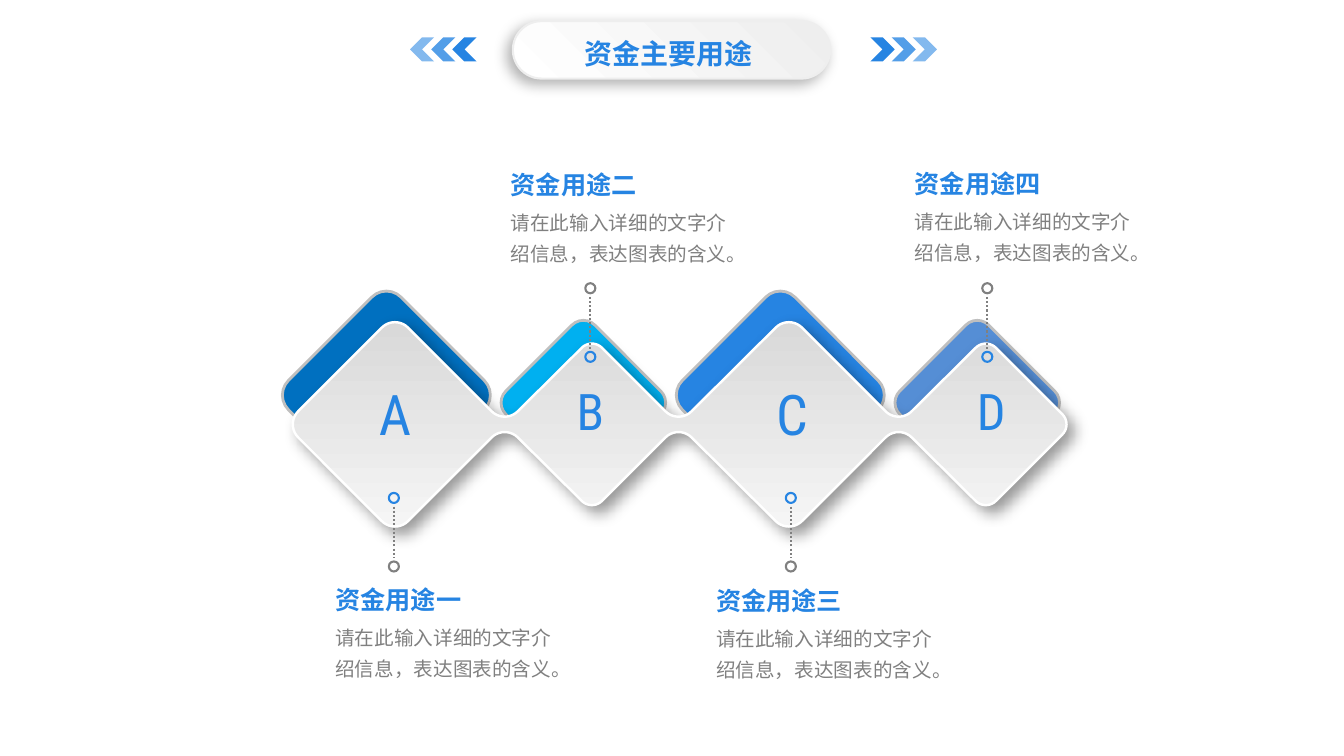
from collections import namedtuple

from lxml import etree
from pptx import Presentation
from pptx import util as u
from pptx.dml.color import RGBColor
from pptx.enum import dml, shapes, text
from pptx.oxml.ns import qn

BLUE = RGBColor(0x26, 0x84, 0xE2)
NAVY = RGBColor(0x00, 0x70, 0xC0)
SKY = RGBColor(0x00, 0xB0, 0xF0)
STEEL = RGBColor(0x55, 0x8E, 0xD5)
GRAY = RGBColor(0x80, 0x80, 0x80)
EDGE = RGBColor(0xBF, 0xBF, 0xBF)
SILVER = RGBColor(0xD9, 0xD9, 0xD9)
PALE = RGBColor(0xF5, 0xF5, 0xF5)
MIST = RGBColor(0xEE, 0xEE, 0xEE)
WHITE = RGBColor(0xFF, 0xFF, 0xFF)

LATIN, CHINESE = "Roboto Condensed", "Noto Sans CJK SC"
BODY = "请在此输入详细的文字介绍信息，表达图表的含义。"

# The grid has ten square cells to the inch
COLUMNS, ROWS = 133.4, 75
FIRST_CENTER, PITCH, MIDDLE = 39.2, 19.55, 42.1

Use = namedtuple("Use", "letter title color big pin letter_x text_x text_y")
USES = [
    Use("A", "资金用途一", NAVY, True, 39.1, 39.2, 32.3, 57.5),
    Use("B", "资金用途二", SKY, False, 58.6, 58.6, 49.7, 16.3),
    Use("C", "资金用途三", BLUE, True, 78.5, 78.6, 70.1, 57.6),
    Use("D", "资金用途四", STEEL, False, 98, 98.4, 89.8, 16.2),
]


def grid(cells):
    return u.Inches(cells / 10)


def add_shape(slide, kind, left, top, width, height, fill=None, line=None, weight=1.5):
    shape = slide.shapes.add_shape(kind, grid(left), grid(top), grid(width), grid(height))
    shape.shadow.inherit = False
    if fill is None:
        shape.fill.background()
    else:
        shape.fill.solid()
        shape.fill.fore_color.rgb = fill
    set_line(shape, line, weight)
    return shape


def set_line(shape, color, weight):
    if color is None:
        shape.line.fill.background()
    else:
        shape.line.color.rgb = color
        shape.line.width = u.Pt(weight)


def set_gradient(shape, start, end, angle):
    shape.fill.gradient()
    shape.fill.gradient_angle = 360 - angle
    for stop, color in zip(shape.fill.gradient_stops, (start, end)):
        stop.color.rgb = color


def set_alpha(color_element, percent):
    etree.SubElement(color_element, qn("a:alpha"), val=str(percent * 1000))


def set_shadow(shape, percent, blur, distance, angle):
    shape.shadow.inherit = False
    effects = shape._element.spPr.find(qn("a:effectLst"))
    shadow = etree.SubElement(
        effects, qn("a:outerShdw"), blurRad=str(u.Pt(blur)), dist=str(u.Pt(distance)),
        dir=str(angle * 60000), algn="ctr", rotWithShape="0")
    set_alpha(etree.SubElement(shadow, qn("a:srgbClr"), val="000000"), percent)


def add_text(slide, left, top, width, height, words, size, color=BLUE, font=LATIN,
             bold=False, centered=False, spacing=None):
    box = slide.shapes.add_textbox(grid(left), grid(top), grid(width), grid(height))
    frame = box.text_frame
    frame.word_wrap = True
    frame.auto_size = text.MSO_AUTO_SIZE.SHAPE_TO_FIT_TEXT
    paragraph = frame.paragraphs[0]
    paragraph.alignment = text.PP_ALIGN.CENTER if centered else text.PP_ALIGN.LEFT
    if spacing:
        paragraph.line_spacing = spacing
    run = paragraph.add_run()
    run.text = words
    run.font.size, run.font.bold, run.font.name = u.Pt(size), bold, font
    run.font.color.rgb = color
    etree.SubElement(run._r.get_or_add_rPr(), qn("a:ea"), typeface=CHINESE)
    return box


def add_heading(slide):
    pill = add_shape(slide, shapes.MSO_SHAPE.ROUNDED_RECTANGLE, 50.9, 2.1, 31.5, 5.7,
                     WHITE, MIST)
    pill.adjustments[0] = 0.5
    set_gradient(pill, MIST, WHITE, 135)
    set_shadow(pill, 30, 10, 5, 135)
    # Chevrons fade outwards on both sides
    for step, alpha in enumerate((100, 79, 57)):
        for left, turn in ((86.4 + 2.1 * step, 0), (44.9 - 2.1 * step, 180)):
            chevron = add_shape(slide, shapes.MSO_SHAPE.CHEVRON, left, 3.7, 2.4, 2.4, BLUE)
            chevron.rotation = turn
            set_alpha(chevron._element.spPr.find(".//" + qn("a:srgbClr")), alpha)
    add_text(slide, 54.9, 3.1, 23, 4.1, "资金主要用途", 20, bold=True, centered=True)


def add_back_diamond(slide, index, use):
    side = 15.8 if use.big else 12.5
    center = FIRST_CENTER + PITCH * index - 0.85
    middle = 39.2 if use.big else 39.95
    diamond = add_shape(slide, shapes.MSO_SHAPE.ROUNDED_RECTANGLE, center - side / 2,
                        middle - side / 2, side, side, use.color, EDGE, 2)
    diamond.adjustments[0] = 0.13
    diamond.rotation = 45


def round_corner(before, corner, after, cut, steps=10):
    """Points of a curve that replaces a corner between two diagonal edges."""
    start, end = [tuple(c + cut * (1 if p > c else -1) for c, p in zip(corner, point))
                  for point in (before, after)]
    curve = []
    for step in range(steps + 1):
        t = step / steps
        near_start = (1 - t) ** 3 + 1.35 * t * (1 - t) ** 2
        near_end = t ** 3 + 1.35 * t ** 2 * (1 - t)
        curve.append(tuple(near_start * s + near_end * e + (1 - near_start - near_end) * c
                           for s, e, c in zip(start, end, corner)))
    return curve


def add_front_chain(slide):
    # Peaks and valleys along the top, then mirrored along the bottom
    top = [(FIRST_CENTER - 10.9, MIDDLE, 1.3)]
    for index, use in enumerate(USES):
        half = 10.9 if use.big else 8.6
        center = FIRST_CENTER + PITCH * index
        top += [(center, MIDDLE - half, 1.3 if use.big else 1),
                (center + half, MIDDLE, 1.3 if index < len(USES) - 1 else 1)]
    bottom = [(x, 2 * MIDDLE - y, cut) for x, y, cut in top[-2:0:-1]]
    corners = top + bottom
    outline = []
    for index, (x, y, cut) in enumerate(corners):
        before, after = corners[index - 1], corners[(index + 1) % len(corners)]
        outline += round_corner(before[:2], (x, y), after[:2], cut)
    points = [(grid(x), grid(y)) for x, y in outline]
    builder = slide.shapes.build_freeform(*points[0])
    builder.add_line_segments(points[1:], close=True)
    chain = builder.convert_to_shape()
    set_gradient(chain, SILVER, PALE, 90)
    set_line(chain, WHITE, 1.75)
    set_shadow(chain, 40, 11, 6, 45)


def add_pin(slide, use):
    top = 48.9 if use.big else 28.1
    ring_colors = (BLUE, GRAY) if use.big else (GRAY, BLUE)
    for ring, color in enumerate(ring_colors):
        add_shape(slide, shapes.MSO_SHAPE.OVAL, use.pin - 0.5, top + 6.8 * ring, 1, 1,
                  line=color)
    stem = slide.shapes.add_connector(shapes.MSO_CONNECTOR.STRAIGHT, grid(use.pin),
                                      grid(top + 1.35), grid(use.pin), grid(top + 6.5))
    set_line(stem, GRAY, 1.5)
    stem.line.dash_style = dml.MSO_LINE.ROUND_DOT
    etree.SubElement(stem._element.spPr, qn("a:effectLst"))


def add_use(slide, use):
    add_text(slide, use.letter_x - 3.4, 37.2, 6.8, 7.7 if use.big else 7.1, use.letter,
             40 if use.big else 36, centered=True)
    add_pin(slide, use)
    add_text(slide, use.text_x, use.text_y, 17.2, 4, use.title, 18, bold=True)
    add_text(slide, use.text_x, use.text_y + 3.45, 24.1, 7.1, BODY, 14, GRAY, CHINESE,
             spacing=1.3)


def main():
    presentation = Presentation()
    presentation.slide_width, presentation.slide_height = grid(COLUMNS), grid(ROWS)
    slide = presentation.slides.add_slide(presentation.slide_layouts[6])
    add_heading(slide)
    for index, use in enumerate(USES):
        add_back_diamond(slide, index, use)
    add_front_chain(slide)
    for use in USES:
        add_use(slide, use)
    presentation.save("out.pptx")


if __name__ == "__main__":
    main()
